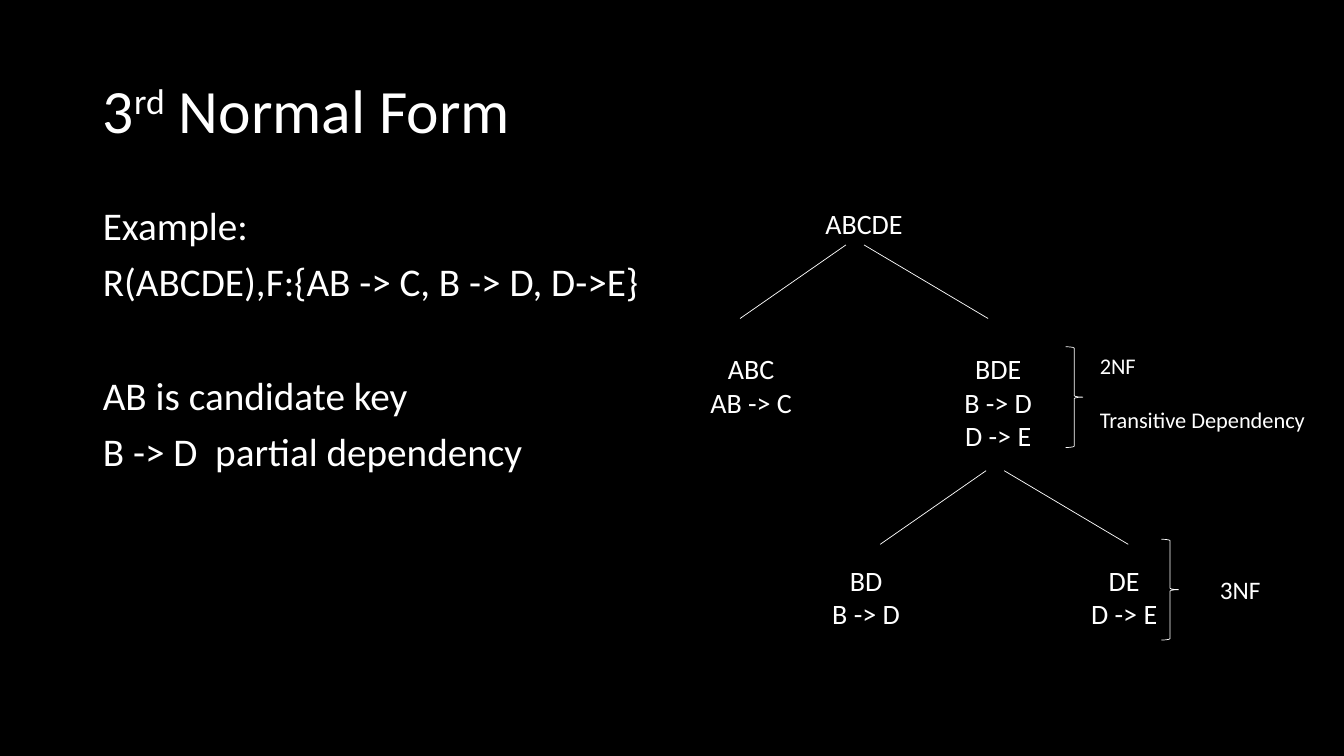
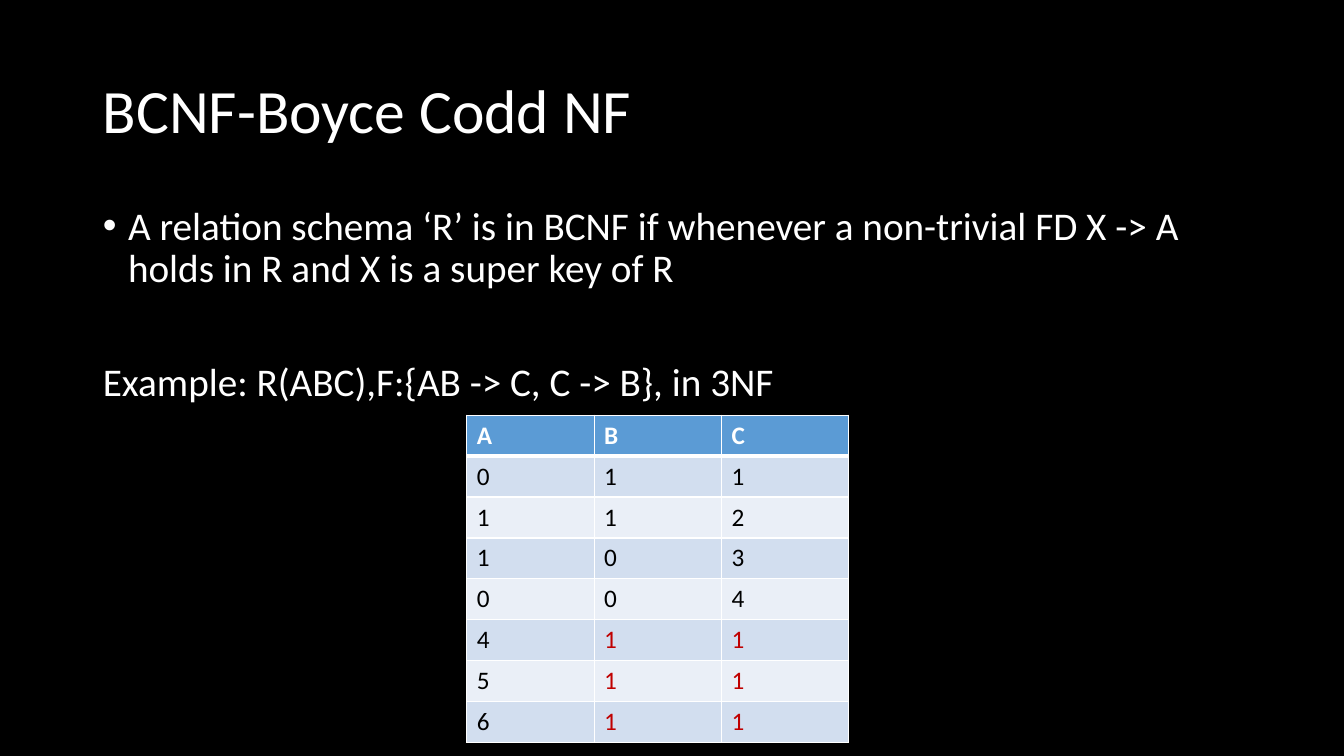
from lxml.etree import SubElement
from pptx import Presentation
from pptx.dml.color import RGBColor
from pptx.enum.shapes import MSO_CONNECTOR, MSO_SHAPE
from pptx.enum.text import MSO_ANCHOR, MSO_AUTO_SIZE, PP_ALIGN
from pptx.oxml.ns import qn
from pptx.util import Inches, Pt

FONT = "Calibri"
BLACK, WHITE, RED = "000000", "FFFFFF", "C00000"
HEADER, BANDS = "5B9BD5", ("D2DEEF", "EAEFF7")
TABLE_TEXT = 18
GAP = 51  # space before a paragraph that starts a new group in the body


def color(value):
    return RGBColor.from_string(value)


class Deck:
    """Holds the style and the slide being filled."""

    def __init__(self):
        self.prs = Presentation()
        self.prs.slide_width, self.prs.slide_height = Inches(13.33), Inches(7.5)
        fill = self.prs.slide_master.background.fill
        fill.solid()
        fill.fore_color.rgb = color(BLACK)

    def new_slide(self):
        self.s = self.prs.slides.add_slide(self.prs.slide_layouts[1])

    def place(self, sp, left, top, width, height):
        sp.left, sp.top = Inches(left), Inches(top)
        sp.width, sp.height = Inches(width), Inches(height)

    def style(self, p, size, c=WHITE, bold=False):
        for r in p.runs:
            r.font.name, r.font.size, r.font.bold = FONT, Pt(size), bold
            r.font.color.rgb = color(c)

    def title(self, text, raised="", rest=""):
        sp = self.s.shapes.title
        self.place(sp, 0.92, 0.4, 11.5, 1.45)
        tf = sp.text_frame
        tf.vertical_anchor = MSO_ANCHOR.MIDDLE
        tf.auto_size = MSO_AUTO_SIZE.NONE
        p = tf.paragraphs[0]
        p.text = text
        p.alignment, p.line_spacing = PP_ALIGN.LEFT, 0.9
        if raised:
            r = p.add_run()
            r.text = raised
            r.font._element.set("baseline", "30000")
            p.add_run().text = rest
        self.style(p, 44)

    def body(self, lines):
        """Each line is (text, space before, bulleted)."""
        sp = self.s.placeholders[1]
        self.place(sp, 0.92, 2, 11.5, 4.76)
        tf = sp.text_frame
        tf.auto_size = MSO_AUTO_SIZE.NONE
        tf.text = "\n".join(text for text, _, _ in lines)
        for p, (_, before, bulleted) in zip(tf.paragraphs, lines):
            p.line_spacing, p.space_before = 0.9, Pt(before)
            self.style(p, 28)
            pPr = p._p.get_or_add_pPr()
            indent = Inches(0.25) if bulleted else 0
            pPr.set("marL", str(indent))
            pPr.set("indent", str(-indent))
            if bulleted:
                SubElement(pPr, qn("a:buChar"), char="•")
            else:
                SubElement(pPr, qn("a:buNone"))

    def label(self, text, at, size=20, align=PP_ALIGN.CENTER, before=0):
        sp = self.s.shapes.add_textbox(*map(Inches, at))
        tf = sp.text_frame
        tf.word_wrap = False
        tf.auto_size = MSO_AUTO_SIZE.SHAPE_TO_FIT_TEXT
        tf.text = text
        for i, p in enumerate(tf.paragraphs):
            p.alignment = align
            p.space_before = Pt(before if i else 0)
            self.style(p, size)

    def outline(self, sp):
        sp.line.color.rgb = color(WHITE)
        sp.line.width = Pt(0.5)

    def line(self, x1, y1, x2, y2):
        cn = self.s.shapes.add_connector(
            MSO_CONNECTOR.STRAIGHT, *map(Inches, (x1, y1, x2, y2)))
        self.outline(cn)
        SubElement(cn._element.spPr, qn("a:effectLst"))

    def fork(self, x, y):
        """Two branches below a node, spread around x."""
        self.line(x - 0.09, y, x - 1.14, y + 0.73)
        self.line(x + 0.09, y, x + 1.32, y + 0.73)

    def brace(self, left, top):
        sp = self.s.shapes.add_shape(
            MSO_SHAPE.RIGHT_BRACE, *map(Inches, (left, top, 0.17, 1)))
        sp.shadow.inherit = False
        sp.fill.background()
        self.outline(sp)

    def border(self, cell, side, width):
        ln = SubElement(cell._tc.get_or_add_tcPr(), qn("a:ln" + side),
                        w=str(Pt(width)))
        SubElement(SubElement(ln, qn("a:solidFill")), qn("a:srgbClr"), val=WHITE)

    def table(self, rows, at, marked):
        """Banded table; marked holds the (row, column) cells in red."""
        shape = self.s.shapes.add_table(len(rows), len(rows[0]), *map(Inches, at))
        for i, row in enumerate(rows):
            for j, text in enumerate(row):
                cell = shape.table.cell(i, j)
                cell.text = text
                for side in "LRTB":
                    under_header = (i, side) in ((0, "B"), (1, "T"))
                    self.border(cell, side, 3 if under_header else 1)
                cell.fill.solid()
                cell.fill.fore_color.rgb = color(BANDS[(i - 1) % 2] if i else HEADER)
                c = RED if (i, j) in marked else BLACK if i else WHITE
                self.style(cell.text_frame.paragraphs[0], TABLE_TEXT, c, i == 0)


def third_normal_form(deck):
    deck.new_slide()
    deck.title("3", "rd", " Normal Form")
    deck.body([
        ("Example:", 10, False),
        ("R(ABCDE),F:{AB -> C, B -> D, D->E}", 10, False),
        ("AB is candidate key", GAP, False),
        ("B -> D  partial dependency", 10, False),
    ])
    # Decomposition tree
    deck.label("ABCDE", (8.08, 2, 0.98, 0.44))
    deck.fork(8.48, 2.43)
    deck.label("ABC\nAB -> C", (6.94, 3.44, 1.02, 0.77))
    deck.label("BDE\nB -> D\nD -> E", (9.46, 3.44, 0.88, 1.11))
    deck.fork(9.87, 4.67)
    deck.label("BD\nB -> D", (8.15, 5.54, 0.88, 0.77))
    deck.label("DE\nD -> E", (10.72, 5.54, 0.86, 0.77))
    # Normal form of each level
    deck.brace(10.57, 3.44)
    deck.label("2NF\nTransitive Dependency", (10.81, 3.44, 2.26, 0.91),
               16, PP_ALIGN.LEFT, before=19.5)
    deck.brace(11.52, 5.35)
    deck.label("3NF", (12, 5.65, 0.6, 0.4), 18, PP_ALIGN.LEFT)


def boyce_codd(deck):
    deck.new_slide()
    deck.title("BCNF-Boyce Codd NF")
    deck.body([
        ("A relation schema ‘R’ is in BCNF if whenever a non-trivial FD X -> A "
         "holds in R and X is a super key of R", 10, True),
        ("Example: R(ABC),F:{AB -> C, C -> B}, in 3NF", GAP, False),
    ])
    # Sample relation, with the repeated B and C values marked
    rows = ["ABC", "011", "112", "103", "004", "411", "511", "611"]
    repeated = {(i, j) for i in (5, 6, 7) for j in (1, 2)}
    deck.table(rows, (4.63, 4.12, 3.79, 3.21), repeated)


def main():
    deck = Deck()
    third_normal_form(deck)
    boyce_codd(deck)
    deck.prs.save("out.pptx")


if __name__ == "__main__":
    main()
